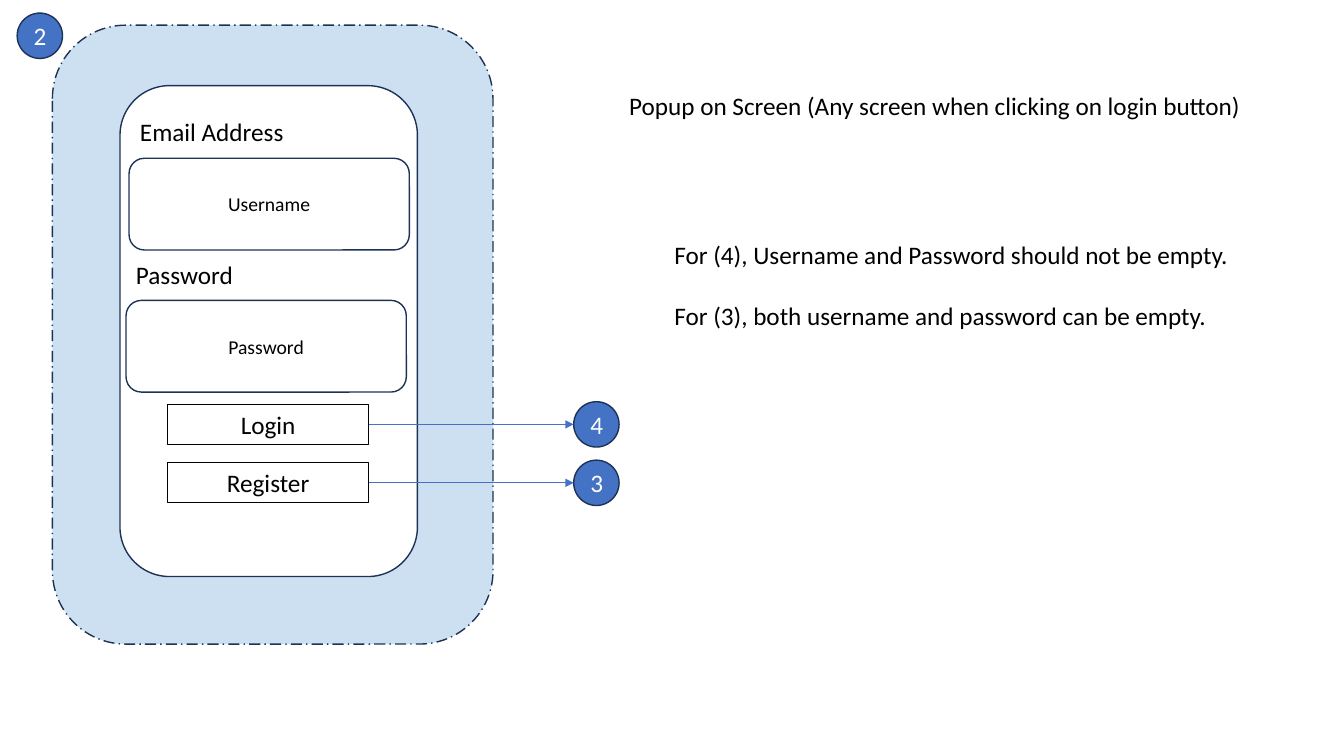
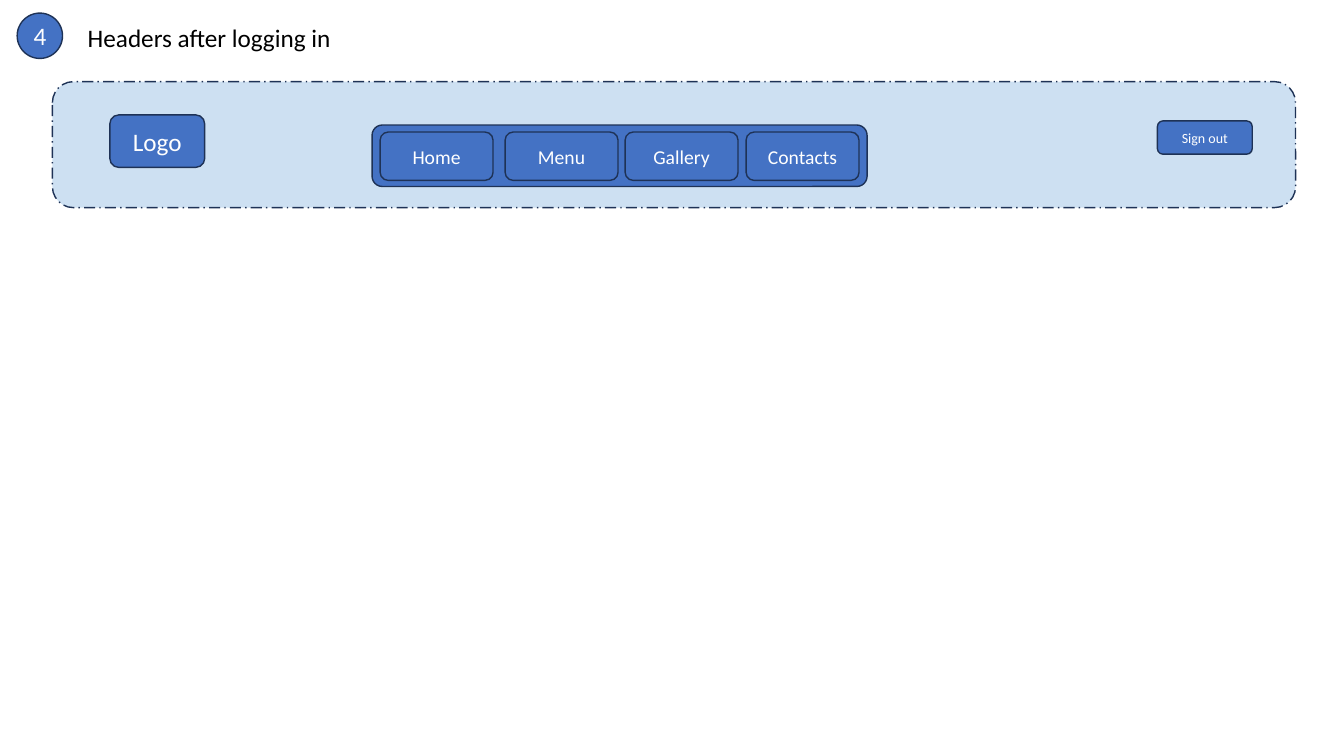
from pptx import Presentation
from pptx import util as u
from pptx.dml.color import RGBColor
from pptx.enum import dml, shapes, text
from pptx.oxml.ns import qn
from lxml import etree

FONT = "Calibri"
BLUE, NAVY, SKY, WHITE, BLACK = "4472C4", "1E3256", "5B9BD5", "FFFFFF", "000000"
ROUND = shapes.MSO_SHAPE.ROUNDED_RECTANGLE
RECT = shapes.MSO_SHAPE.RECTANGLE
CIRCLE = shapes.MSO_SHAPE.FLOWCHART_CONNECTOR
BADGE = 0.45

POPUP = {
    "number": "2",
    "title": "Popup on Screen (Any screen when clicking on login button)",
    "title_at": (6.14, 0.85, 6.5, 0.4),
    "panel_at": (0.52, 0.25, 4.37, 6.14),
}
HEADER = {
    "number": "4",
    "title": "Headers after logging in",
    "title_at": (0.77, 0.17, 6.5, 0.4),
    "panel_at": (0.52, 0.81, 12.33, 1.25),
}
FIELDS = [
    ("Email Address", (1.29, 1.11), "Username", (1.28, 1.57)),
    ("Password", (1.25, 2.52), "Password", (1.25, 2.98)),
]
BUTTONS = [("Login", "4", 4.01), ("Register", "3", 4.59)]
RULES = [
    "For (4), Username and Password should not be empty.",
    "For (3), both username and password can be empty.",
]
NAVIGATION = [("Home", 3.77), ("Menu", 5.01), ("Gallery", 6.2), ("Contacts", 7.4)]


def rgb(code):
    return RGBColor.from_string(code)


def inches(lengths):
    return [u.Inches(length) for length in lengths]


def write(owner, *lines, size=18, color=BLACK, align=text.PP_ALIGN.LEFT,
          anchor=text.MSO_ANCHOR.TOP, gap=0):
    frame = owner.text_frame
    frame.word_wrap = True
    frame.auto_size = text.MSO_AUTO_SIZE.NONE
    frame.vertical_anchor = anchor
    for index, line in enumerate(lines):
        paragraph = frame.add_paragraph() if index else frame.paragraphs[0]
        paragraph.alignment = align
        paragraph.space_before = u.Pt(gap if index else 0)
        run = paragraph.add_run()
        run.text = line
        run.font.name, run.font.size = FONT, u.Pt(size)
        run.font.color.rgb = rgb(color)


def label(parent, at, *lines, **style):
    write(parent.shapes.add_textbox(*inches(at)), *lines, **style)


def box(parent, kind, at, caption="", fill=BLUE, line=NAVY, width=1, **style):
    part = parent.shapes.add_shape(kind, *inches(at))
    part.shadow.inherit = False
    if fill:
        part.fill.solid()
        part.fill.fore_color.rgb = rgb(fill)
    else:
        part.fill.background()
    part.line.color.rgb = rgb(line)
    part.line.width = u.Pt(width)
    if caption:
        write(part, caption, align=text.PP_ALIGN.CENTER,
              anchor=text.MSO_ANCHOR.MIDDLE, **style)
    return part


def badge(slide, left, top, number):
    box(slide, CIRCLE, (left, top, BADGE, BADGE), number, color=WHITE)


def arrow(slide, button, end_x):
    middle = button.top + button.height // 2
    link = slide.shapes.add_connector(
        shapes.MSO_CONNECTOR.STRAIGHT, button.left + button.width, middle,
        u.Inches(end_x), middle)
    link.begin_connect(button, 3)
    link.line.color.rgb = rgb(BLUE)
    link.line.width = u.Pt(0.5)
    etree.SubElement(link.line._get_or_add_ln(), qn("a:tailEnd"), type="triangle")
    etree.SubElement(link._element.spPr, qn("a:effectLst"))


def start_slide(deck, screen):
    slide = deck.slides.add_slide(deck.slide_layouts[5])
    heading = slide.shapes.title
    heading.left, heading.top, heading.width, heading.height = inches(screen["title_at"])
    write(heading, screen["title"])
    panel = box(slide, ROUND, screen["panel_at"], fill=SKY)
    panel.line.dash_style = dml.MSO_LINE.LONG_DASH_DOT
    tint = panel._element.spPr.find(qn("a:solidFill"))[0]
    etree.SubElement(tint, qn("a:alpha"), val="30000")
    badge(slide, 0.17, 0.13, screen["number"])
    return slide


def build_popup(deck):
    slide = start_slide(deck, POPUP)
    form = slide.shapes.add_group_shape()
    box(form, ROUND, (1.19, 0.85, 2.95, 4.87), fill=WHITE)
    for name, name_at, hint, field_at in FIELDS:
        box(form, ROUND, (*field_at, 2.78, 0.91), hint, fill=WHITE, size=14)
        label(form, (*name_at, 2.57, 0.4), name)
    for caption, target, top in BUTTONS:
        button = box(form, RECT, (1.66, top, 2, 0.4), caption,
                     fill=None, line=BLACK, width=0.75)
        arrow(slide, button, 5.69)
        badge(slide, 5.69, top + (0.4 - BADGE) / 2, target)
    label(slide, (6.59, 2.32, 6.5, 1.01), *RULES, gap=22)


def build_header(deck):
    slide = start_slide(deck, HEADER)
    box(slide, ROUND, (1.09, 1.14, 0.94, 0.52), "Logo", color=WHITE)
    navigation = slide.shapes.add_group_shape()
    box(navigation, ROUND, (3.69, 1.24, 4.91, 0.61))
    for caption, left in NAVIGATION:
        box(navigation, ROUND, (left, 1.31, 1.12, 0.48), caption, size=14, color=WHITE)
    box(slide, ROUND, (11.48, 1.2, 0.94, 0.33), "Sign out", size=10, color=WHITE)


def main():
    deck = Presentation()
    deck.slide_width, deck.slide_height = inches((13.33, 7.5))
    build_popup(deck)
    build_header(deck)
    deck.save("out.pptx")


if __name__ == "__main__":
    main()
